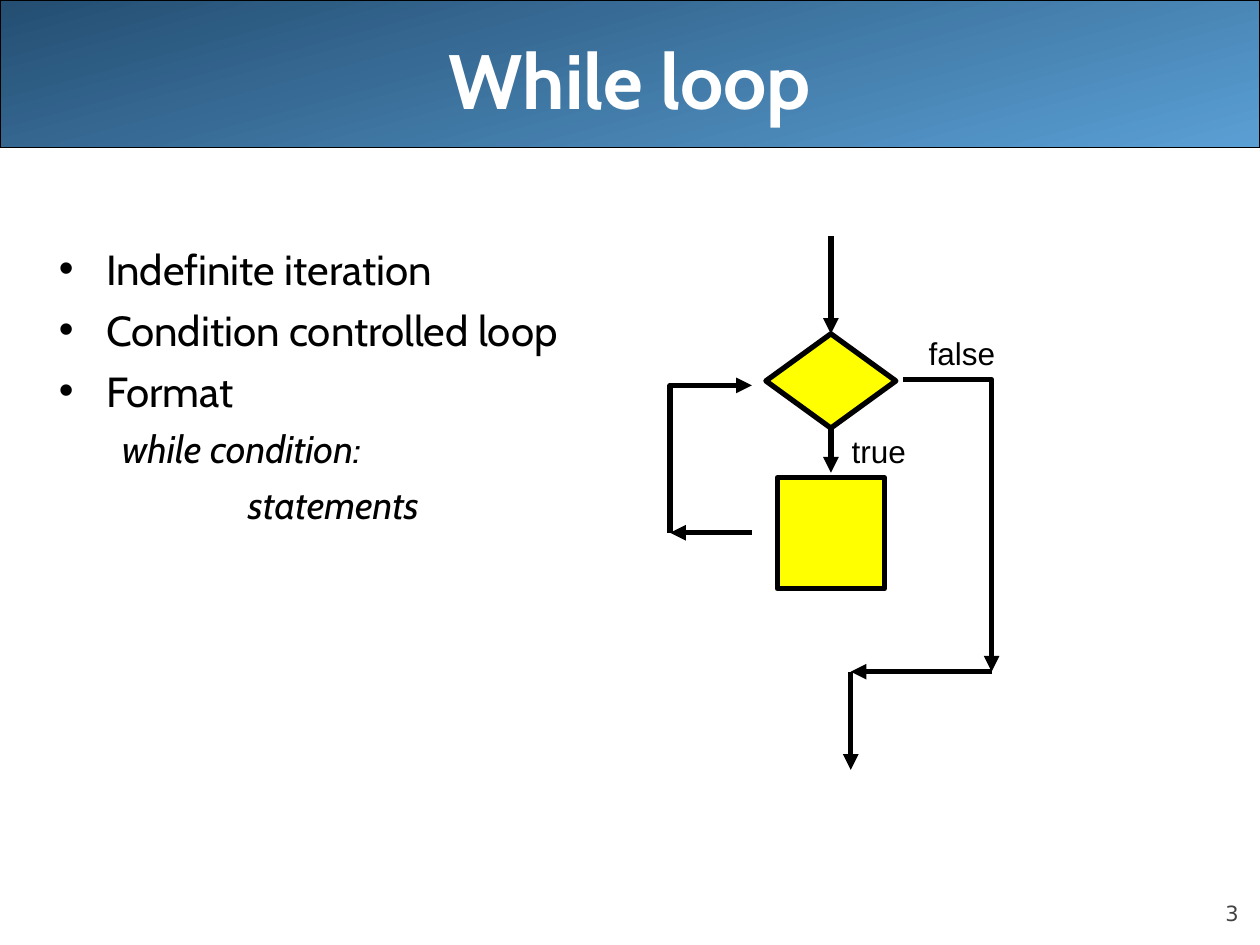
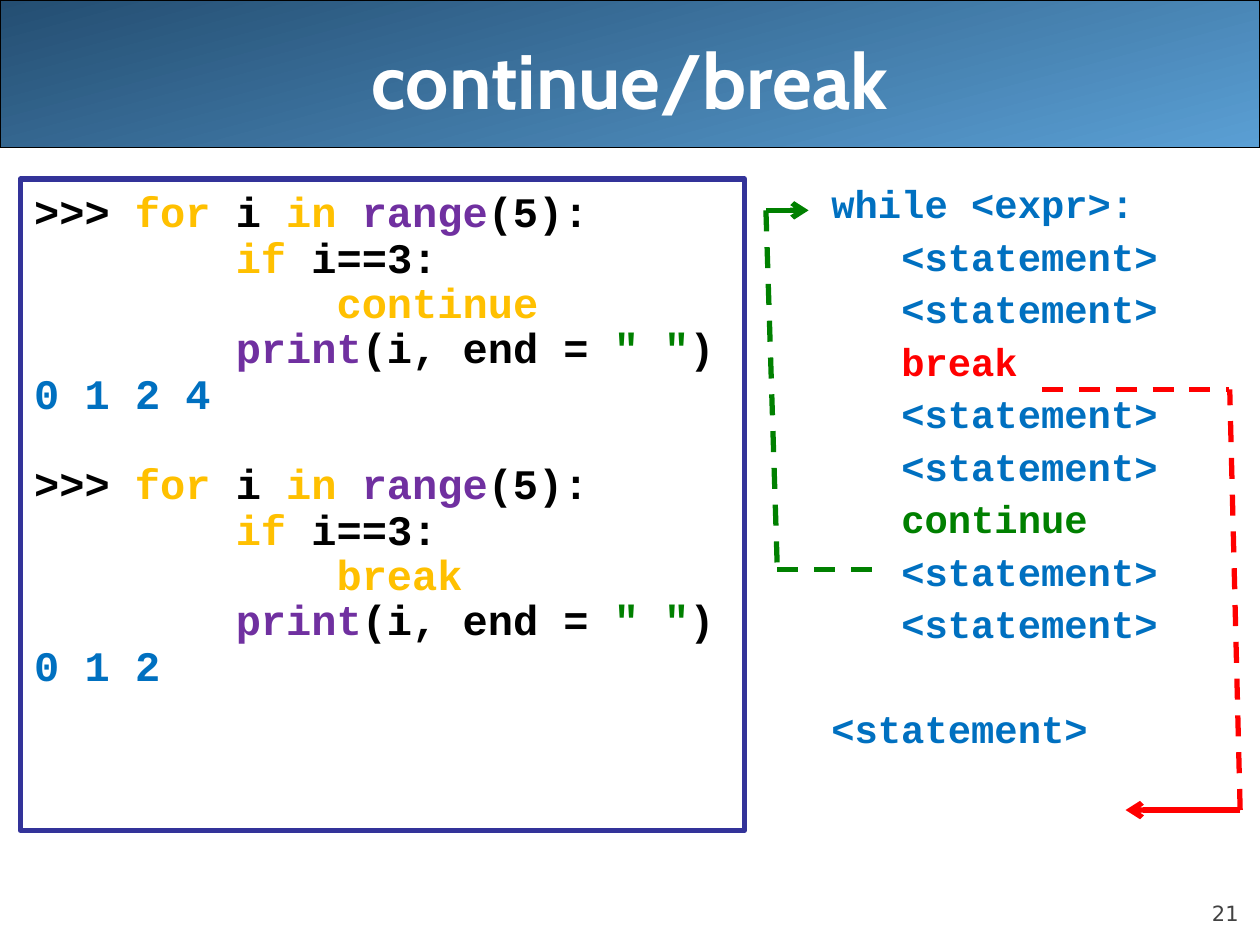
import pptx
import pptx.dml.color
import pptx.enum.shapes
import pptx.enum.text
import pptx.oxml
import pptx.oxml.ns
import pptx.util
import lxml.etree

Cm = pptx.util.Cm
Pt = pptx.util.Pt
SHAPES = pptx.enum.shapes.MSO_SHAPE
ALIGN = pptx.enum.text.PP_ALIGN
ANCHOR = pptx.enum.text.MSO_ANCHOR

# Shared colours and fonts
BLACK, WHITE, YELLOW = "000000", "FFFFFF", "FFFF00"
BAND_DARK, BAND_LIGHT, NUMBER_GREY = "244E72", "5A9FD4", "424242"
KEYWORD, BUILTIN, GREEN = "FFC000", "7030A0", "008000"
BLUE, RED, FRAME = "0070C0", "FF0000", "333399"
BODY_FONT, CODE_FONT, LABEL_FONT, NUMBER_FONT = "Cabin", "Courier New", "Arial", "DejaVu Sans"
LINE_WIDTH = 3


def rgb(colour):
    return pptx.dml.color.RGBColor.from_string(colour)


def add_child(parent, tag, **attributes):
    child = lxml.etree.SubElement(parent, pptx.oxml.ns.qn(tag))
    for name, value in attributes.items():
        child.set(name, value)
    return child


# Text
def add_line(frame, runs, size, font, bold=False, italic=False, align=ALIGN.LEFT,
             before=0, spacing=None, indent=0, bullet=False):
    """Add one paragraph; runs is a list of (text, colour)."""
    first = frame.paragraphs[0]
    paragraph = frame.add_paragraph() if first.runs else first
    paragraph.alignment = align
    paragraph.space_before = Pt(before)
    if spacing:
        paragraph.line_spacing = spacing
    properties = paragraph._p.get_or_add_pPr()
    properties.set("marL", str(Cm(indent)))
    properties.set("indent", str(-Cm(indent) if bullet else 0))
    if bullet:
        add_child(properties, "a:buFont", typeface="Arial")
        add_child(properties, "a:buChar", char="•")
    for text, colour in runs:
        run = paragraph.add_run()
        run.text = text
        run.font.size = Pt(size)
        run.font.name = font
        run.font.bold = bold
        run.font.italic = italic
        run.font.color.rgb = rgb(colour)


def set_margins(frame, left, top, right, bottom):
    frame.margin_left, frame.margin_top = Cm(left), Cm(top)
    frame.margin_right, frame.margin_bottom = Cm(right), Cm(bottom)


def add_text_box(slide, left, top, width, height, anchor=ANCHOR.TOP, wrap=True):
    box = slide.shapes.add_textbox(Cm(left), Cm(top), Cm(width), Cm(height))
    frame = box.text_frame
    frame.word_wrap = wrap
    frame.vertical_anchor = anchor
    return frame


# Shapes and lines
def add_block(slide, kind, left, top, width, height, fill, line, line_width=LINE_WIDTH):
    shape = slide.shapes.add_shape(kind, Cm(left), Cm(top), Cm(width), Cm(height))
    shape.shadow.inherit = False
    if fill:
        shape.fill.solid()
        shape.fill.fore_color.rgb = rgb(fill)
    shape.line.color.rgb = rgb(line)
    shape.line.width = Pt(line_width)
    return shape


def add_link(slide, origin, start, end, colour=BLACK, head=None, tail=None,
             dashed=False, corner=False):
    """Draw a line between points given from origin; a corner runs across, then down."""
    left, top = origin
    kinds = pptx.enum.shapes.MSO_CONNECTOR
    connector = slide.shapes.add_connector(
        kinds.ELBOW if corner else kinds.STRAIGHT,
        Cm(left + start[0]), Cm(top + start[1]), Cm(left + end[0]), Cm(top + end[1]))
    properties = connector._element.spPr
    if corner:
        properties.find(pptx.oxml.ns.qn("a:prstGeom")).set("prst", "bentConnector2")
    connector.line.color.rgb = rgb(colour)
    connector.line.width = Pt(LINE_WIDTH)
    line = connector.line._get_or_add_ln()
    if dashed:
        add_child(line, "a:prstDash", val="dash")
    if head:
        add_child(line, "a:headEnd", type=head)
    if tail:
        add_child(line, "a:tailEnd", type=tail)
    add_child(properties, "a:effectLst")
    return connector


# Band, title and slide number on every slide
def add_titled_slide(presentation, title, number):
    slide = presentation.slides.add_slide(presentation.slide_layouts[6])
    band = add_block(slide, SHAPES.RECTANGLE, 0, 0, 25.4, 2.97, None, BLACK, 0.75)
    band.fill.gradient()
    band.fill.gradient_angle = 285
    for stop, colour in zip(band.fill.gradient_stops, (BAND_DARK, BAND_LIGHT)):
        stop.color.rgb = rgb(colour)
    number_frame = add_text_box(slide, 22.86, 17.65, 2.11, 1.02, ANCHOR.BOTTOM)
    set_margins(number_frame, 0, 0, 0, 0)
    add_line(number_frame, [(number, NUMBER_GREY)], 12, NUMBER_FONT, align=ALIGN.RIGHT)
    title_frame = add_text_box(slide, 1.27, 0, 22.86, 3.18, ANCHOR.MIDDLE)
    add_line(title_frame, [(title, WHITE)], 44, BODY_FONT, bold=True, align=ALIGN.CENTER)
    return slide


# Bulleted points with the loop format below them
def add_points(slide, left, top, width, height):
    frame = add_text_box(slide, left, top, width, height)
    for point in ("Indefinite iteration", "Condition controlled loop", "Format"):
        add_line(frame, [(point, BLACK)], 24, BODY_FONT, before=6, indent=0.95, bullet=True)
    for text, indent in (("while condition:", 1.27), ("statements", 3.81)):
        add_line(frame, [(text, BLACK)], 22, BODY_FONT, italic=True, before=5.5, indent=indent)


# Flowchart of the while loop
def add_flowchart(slide, left, top):
    origin = (left, top)
    axis, exit_x, right = 3.24, 3.64, 6.48
    loop_top, loop_bottom, loop_right = 3.02, 5.99, 1.65
    join_y = 8.79
    arrow = "triangle"

    entry = add_link(slide, origin, (axis, 0), (axis, 1.98), tail=arrow)
    condition = add_block(slide, SHAPES.DIAMOND, left + axis - 1.31, top + 1.98,
                          2.62, 1.9, YELLOW, BLACK)
    entry.end_connect(condition, 0)
    true_branch = add_link(slide, origin, (axis, 3.88), (axis, 4.78), tail=arrow)
    true_branch.begin_connect(condition, 2)
    add_block(slide, SHAPES.RECTANGLE, left + axis - 1.08, top + 4.88,
              2.16, 2.24, YELLOW, BLACK)

    # Way out when the condition is false
    add_link(slide, origin, (4.7, 2.9), (right, join_y), tail=arrow, corner=True)
    add_link(slide, origin, (right, join_y), (exit_x, join_y), tail=arrow)
    add_link(slide, origin, (exit_x, join_y), (exit_x, 10.77), tail=arrow)

    # Way back to the condition
    add_link(slide, origin, (loop_right, loop_bottom), (0, loop_bottom), tail=arrow)
    add_link(slide, origin, (loop_right, loop_top), (0, loop_bottom), head=arrow, corner=True)

    for label, x, y, width in (("true", 3.41, 3.84, 1.6), ("false", 4.96, 1.85, 1.85)):
        frame = add_text_box(slide, left + x, top + y, width, 1.02, wrap=False)
        add_line(frame, [(label, BLACK)], 18, LABEL_FONT)


# Framed console session, once for each jump statement
def add_console(slide, left, top, width, height):
    box = add_block(slide, SHAPES.RECTANGLE, left, top, width, height, WHITE, FRAME)
    frame = box.text_frame
    frame.word_wrap = True
    frame.vertical_anchor = ANCHOR.TOP
    set_margins(frame, 0.25, 0.25, 0.5, 0.25)
    character = 0.508
    for jump, output, gap in (("continue", "0 1 2 4", 0), ("break", "0 1 2", 26)):
        session = [
            (0, [(">>> ", BLACK), ("for", KEYWORD), (" i ", BLACK), ("in ", KEYWORD),
                 ("range", BUILTIN), ("(5):", BLACK)]),
            (8, [("if", KEYWORD), (" i==3:", BLACK)]),
            (12, [(jump, KEYWORD)]),
            (8, [("print", BUILTIN), ("(i, end = ", BLACK), ('" "', GREEN), (")", BLACK)]),
            (0, [(output, BLUE)]),
        ]
        for row, (column, runs) in enumerate(session):
            add_line(frame, runs, 24, CODE_FONT, bold=True, spacing=0.9,
                     before=0 if row else gap, indent=0.03 + column * character)


# Outline of a loop holding both jump statements
def add_loop_outline(slide, left, top, width, height):
    frame = add_text_box(slide, left, top, width, height)
    statement = ("<statement>", BLUE)
    inside = [statement, statement, ("break", RED), statement, statement,
              ("continue", GREEN), statement, statement]
    rows = [(("while <expr>:", BLUE), 0, 6)]
    rows += [(run, 1.41, 6) for run in inside]
    rows.append((statement, 0, 36))
    for run, indent, before in rows:
        add_line(frame, [run], 22.2, CODE_FONT, bold=True, spacing=0.9,
                 before=before, indent=indent)


# Dashed jump back to the loop header
def add_continue_arrow(slide, left, top):
    origin, corner = (left, top), (0.23, 7.24)
    add_link(slide, origin, (2.13, 7.24), corner, GREEN, dashed=True)
    add_link(slide, origin, (0, 0), (0.86, 0), GREEN, tail="arrow")
    add_link(slide, origin, (0, 0), corner, GREEN, dashed=True)


# Dashed jump past the end of the loop
def add_break_arrow(slide, left, top):
    origin, corner = (left, top), (3.99, 8.48)
    add_link(slide, origin, (0, 0), (3.76, 0), RED, dashed=True)
    add_link(slide, origin, corner, (1.68, 8.48), RED, tail="arrow")
    add_link(slide, origin, corner, (3.78, 0), RED, dashed=True)


def main():
    presentation = pptx.Presentation()
    presentation.slide_width, presentation.slide_height = Cm(25.4), Cm(19.05)

    while_slide = add_titled_slide(presentation, "While loop", "3")
    add_points(while_slide, 0.94, 4.78, 13.34, 11.43)
    add_flowchart(while_slide, 13.51, 4.75)

    jump_slide = add_titled_slide(presentation, "continue/break", "21")
    add_console(jump_slide, 0.41, 3.61, 14.6, 13.13)
    add_loop_outline(jump_slide, 16.51, 3.61, 7.82, 13.77)
    add_continue_arrow(jump_slide, 15.44, 4.24)
    add_break_arrow(jump_slide, 21.01, 7.85)

    presentation.save("out.pptx")


if __name__ == "__main__":
    main()
